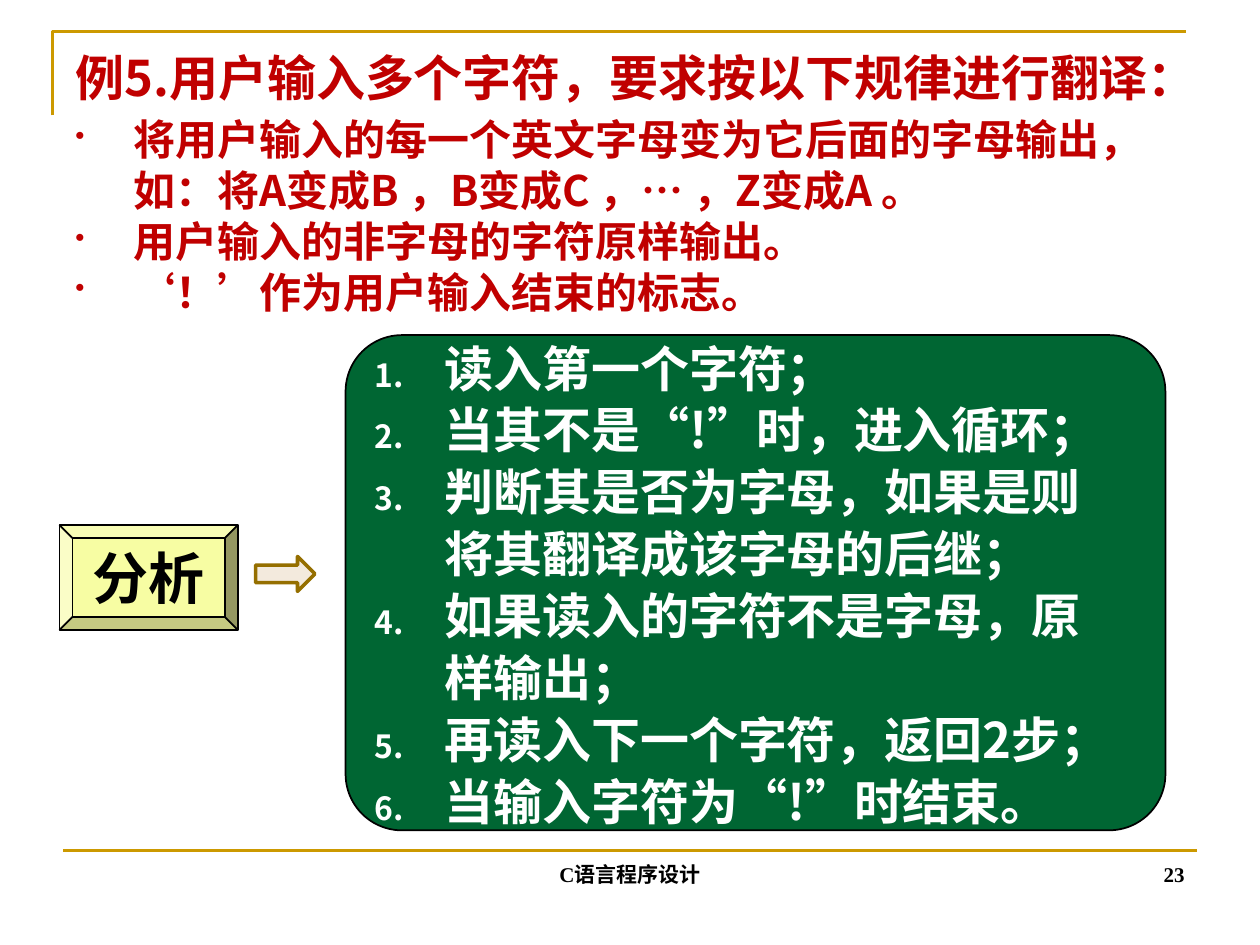
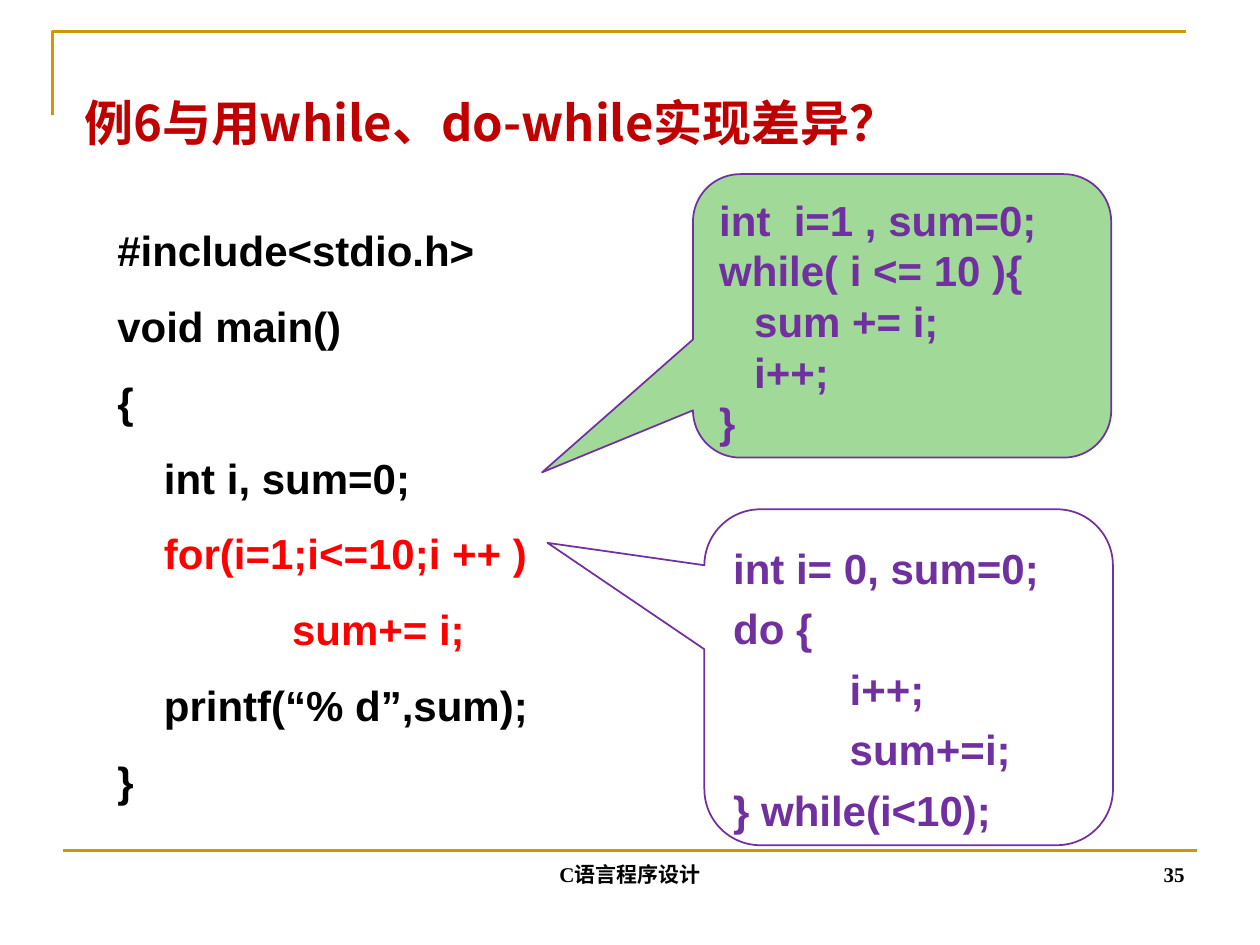
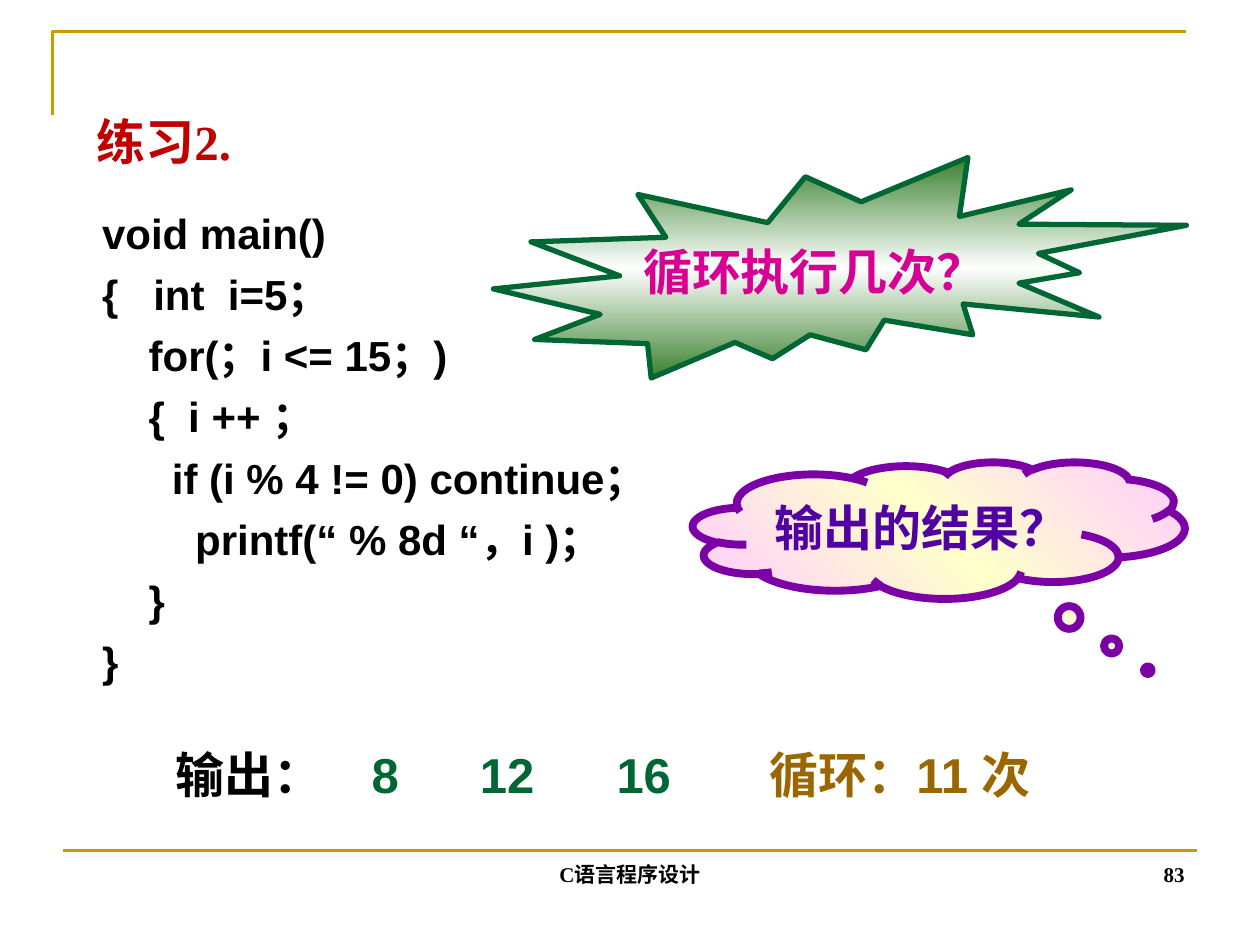
from lxml.etree import SubElement
from pptx import Presentation
from pptx.dml.color import RGBColor
from pptx.enum.shapes import MSO_CONNECTOR, MSO_SHAPE as SHAPE
from pptx.enum.text import MSO_ANCHOR as ANCHOR, MSO_AUTO_SIZE, PP_ALIGN as ALIGN
from pptx.oxml.ns import qn
from pptx.util import Pt

# Shared look
GOLD, RED, BLACK, WHITE = "CC9900", "C00000", "000000", "FFFFFF"
GREEN, PURPLE, BRIGHT_RED, BROWN = "006633", "7030A0", "FF0000", "996600"
CJK, CJK_JP, SANS, SERIF = "Noto Sans CJK SC", "Noto Sans CJK JP", "Arial", "Times New Roman"
FOOTER = "C语言程序设计"

# Content: title text, title box, title font, page number
TITLES = [
    ("例5.用户输入多个字符，要求按以下规律进行翻译：", (36, 22, 672, 44), CJK, "23"),
    ("例6与用while、do-while实现差异？", (41, 47, 595, 45), CJK, "35"),
    ("练习2.", (48, 60, 130, 41), SERIF, "83"),
]
RULES = [
    "将用户输入的每一个英文字母变为它后面的字母输出，\v如：将A变成B ，B变成C ，… ，Z变成A 。",
    "用户输入的非字母的字符原样输出。",
    "‘！’作为用户输入结束的标志。",
]
STEPS = [
    "读入第一个字符；",
    "当其不是“!”时，进入循环；",
    "判断其是否为字母，如果是则\v将其翻译成该字母的后继；",
    "如果读入的字符不是字母，原\v样输出；",
    "再读入下一个字符，返回2步；",
    "当输入字符为“!”时结束。",
]
FOR_CODE = [
    "#include<stdio.h>",
    "void main()",
    "{",
    "    int i, sum=0;",
    ("    for(i=1;i<=10;i ++ )", BRIGHT_RED),
    ("               sum+= i;", BRIGHT_RED),
    "    printf(“% d”,sum);",
    "}",
]
WHILE_CODE = ["int  i=1 , sum=0;", "while( i <= 10 ){", "   sum += i;", "   i++;", "}"]
DO_CODE = ["int i= 0, sum=0;", "do {", "          i++;", "          sum+=i;", "} while(i<10);"]
# box, adjustments, fill, line spacing, code
CALLOUTS = [
    ((396, 99.5, 239, 162), (-0.861, 0.552, 0.167), "A1DA98", 28.9, WHILE_CODE),
    ((402.5, 291, 233.5, 192), (-0.884, -0.4, 0.167), WHITE, 34.6, DO_CODE),
]
CONTINUE_CODE = [
    "void main()",
    "{   int  i=5；",
    "    for(；i <= 15；)",
    "    {  i ++ ；",
    "      if (i % 4 != 0) continue；",
    "        printf(“ % 8d “，i )；",
    "    }",
    "}",
]
# text, preset, box, adjustments, gradient ends, middle, angle, line, width, text colour
QUESTIONS = [
    ("循环执行几次？", SHAPE.EXPLOSION2, (282, 90, 396, 126), (),
     "3B812F", WHITE, 90, GREEN, 3, "D60093"),
    ("输出的结果？", SHAPE.CLOUD_CALLOUT, (396, 264, 281, 78), (0.425, 1.026),
     "FFCCFF", "FFFFCC", 45, "7B00A6", 4.5, "5100A2"),
]
OUTPUT_LABEL, OUTPUT_VALUES = "输出：", ["8", "12", "16"]
OUTPUT_TABS = [112, 174, 252]
LOOP_COUNT = "循环：11 次"


def rgb(value):
    return RGBColor.from_string(value)


def points(box):
    return [Pt(value) for value in box]


def style_run(run, size, color, font):
    run.font.size, run.font.bold, run.font.name = Pt(size), True, font
    run.font.color.rgb = rgb(color)
    east_asian = SubElement(run._r.get_or_add_rPr(), qn("a:ea"))
    east_asian.set("typeface", font if "CJK" in font else CJK)


def add_bullet(paragraph, kind, color, indent):
    """Hang a bullet character or an automatic number in front of a paragraph."""
    properties = paragraph._p.get_or_add_pPr()
    properties.set("marL", str(Pt(indent)))
    properties.set("indent", str(-Pt(indent)))
    SubElement(SubElement(properties, qn("a:buClr")), qn("a:srgbClr")).set("val", color)
    SubElement(properties, qn("a:buSzPct")).set("val", "65000")
    if kind == "number":
        SubElement(properties, qn("a:buAutoNum")).set("type", "arabicPeriod")
    else:
        SubElement(properties, qn("a:buChar")).set("char", kind)


def add_tabs(paragraph, stops):
    tab_list = SubElement(paragraph._p.get_or_add_pPr(), qn("a:tabLst"))
    for stop in stops:
        tab = SubElement(tab_list, qn("a:tab"))
        tab.set("pos", str(Pt(stop)))
        tab.set("algn", "l")


def write(shape, lines, size, color, font, align=ALIGN.LEFT, anchor=ANCHOR.TOP, spacing=None,
          before=0, bullet=None, indent=0, wrap=True, side=7.2):
    """Fill a shape with lines; a line is a text or a (text, colour) pair."""
    frame = shape.text_frame
    frame.word_wrap, frame.auto_size = wrap, MSO_AUTO_SIZE.NONE
    frame.vertical_anchor = anchor
    frame.margin_left = frame.margin_right = Pt(side)
    frame.margin_top = frame.margin_bottom = Pt(3.6)
    for index, line in enumerate(lines):
        text, line_color = (line, color) if isinstance(line, str) else line
        paragraph = frame.add_paragraph() if index else frame.paragraphs[0]
        if bullet:
            add_bullet(paragraph, bullet, color, indent)
        paragraph.text, paragraph.alignment = text, align
        if spacing:
            paragraph.line_spacing = Pt(spacing)
        paragraph.space_before = Pt(before if index else 0)
        for run in paragraph.runs:
            style_run(run, size, line_color, font)


def add_text(slide, box, lines, *style, **options):
    shape = slide.shapes.add_textbox(*points(box))
    write(shape, lines, *style, **options)
    return shape


def add_preset(slide, preset, box, line, width, fill=None, adjustments=()):
    shape = slide.shapes.add_shape(preset, *points(box))
    shape.shadow.inherit = False
    for index, value in enumerate(adjustments):
        shape.adjustments[index] = value
    if fill:
        shape.fill.solid()
        shape.fill.fore_color.rgb = rgb(fill)
    shape.line.color.rgb, shape.line.width = rgb(line), Pt(width)
    return shape


def fill_gradient(shape, colors, angle):
    shape.fill.gradient()
    shape.fill.gradient_angle = angle
    stops = shape._element.spPr.find(qn("a:gradFill")).find(qn("a:gsLst"))
    for stop in list(stops):
        stops.remove(stop)
    for index, color in enumerate(colors):
        stop = SubElement(stops, qn("a:gs"))
        stop.set("pos", str(100000 * index // (len(colors) - 1)))
        SubElement(stop, qn("a:srgbClr")).set("val", color)


def add_base_slide(presentation, title, title_box, font, page):
    """Title, corner frame, footer rule, footer and page number."""
    slide = presentation.slides.add_slide(presentation.slide_layouts[5])
    heading = slide.shapes.title
    heading.left, heading.top, heading.width, heading.height = points(title_box)
    write(heading, [title], 28, RED, font, anchor=ANCHOR.MIDDLE)

    builder = slide.shapes.build_freeform(Pt(30), Pt(66))
    builder.add_line_segments([(Pt(30), Pt(18)), (Pt(678), Pt(18))], close=False)
    corner = builder.convert_to_shape()
    corner.shadow.inherit = False
    corner.fill.background()
    rule = slide.shapes.add_connector(MSO_CONNECTOR.STRAIGHT, *points((36, 486, 684, 486)))
    SubElement(rule._element.spPr, qn("a:effectLst"))
    for outline in (corner.line, rule.line):
        outline.color.rgb, outline.width = rgb(GOLD), Pt(1.5)

    for box, text, align in (((246, 474, 228, 36), FOOTER, ALIGN.CENTER),
                             ((516, 474, 168, 36), page, ALIGN.RIGHT)):
        add_text(slide, box, [text], 12, BLACK, SERIF, align=align, anchor=ANCHOR.BOTTOM)
    return slide


def build_translation(slide):
    add_text(slide, (36, 61, 672, 123), RULES, 24, RED, CJK,
             spacing=29.1, bullet="•", indent=33)
    label = add_preset(slide, SHAPE.BEVEL, (34, 300, 102, 60), BLACK, 1, "F7FDA3", (0.125,))
    write(label, ["分析"], 32, BLACK, CJK_JP, align=ALIGN.CENTER, anchor=ANCHOR.MIDDLE, wrap=False)
    panel = add_preset(slide, SHAPE.ROUNDED_RECTANGLE, (197.5, 191.5, 468.5, 283),
                       BLACK, 1, GREEN, (0.114,))
    write(panel, STEPS, 28, WHITE, CJK_JP, anchor=ANCHOR.MIDDLE,
          spacing=35.4, bullet="number", indent=40)
    add_preset(slide, SHAPE.RIGHT_ARROW, (146, 318, 34, 20), "956F00", 2, "F3EADD")


def build_comparison(slide):
    for box, adjustments, fill, spacing, code in CALLOUTS:
        callout = add_preset(slide, SHAPE.ROUNDED_RECTANGULAR_CALLOUT, box,
                             PURPLE, 1, fill, adjustments)
        write(callout, code, 24, PURPLE, SANS, spacing=spacing)
    add_text(slide, (60, 116, 324, 354), FOR_CODE, 24, BLACK, SANS, spacing=37.4, before=6)


def build_exercise(slide):
    add_text(slide, (54, 115, 378, 280), CONTINUE_CODE, 24, BLACK, SANS,
             spacing=28.9, before=6, side=4.3)
    for text, preset, box, adjustments, edge, middle, angle, line, width, color in QUESTIONS:
        shape = add_preset(slide, preset, box, line, width, adjustments=adjustments)
        fill_gradient(shape, (edge, middle, edge), angle)
        write(shape, [text], 28, color, SANS, align=ALIGN.CENTER, anchor=ANCHOR.MIDDLE, wrap=False)

    # Answer line: label and values on tab stops
    answer = {"anchor": ANCHOR.MIDDLE, "side": 4.3}
    output = add_text(slide, (96, 420, 330, 45), [OUTPUT_LABEL], 28, BLACK, SANS, **answer)
    paragraph = output.text_frame.paragraphs[0]
    add_tabs(paragraph, OUTPUT_TABS)
    for value in OUTPUT_VALUES:
        run = paragraph.add_run()
        run.text = "\t" + value
        style_run(run, 28, GREEN, SANS)
    add_text(slide, (435.5, 420, 212, 45), [LOOP_COUNT], 28, BROWN, SANS, **answer)


def main():
    presentation = Presentation()
    presentation.slide_width, presentation.slide_height = Pt(720), Pt(540)
    for heading, build in zip(TITLES, (build_translation, build_comparison, build_exercise)):
        build(add_base_slide(presentation, *heading))
    presentation.save("out.pptx")


if __name__ == "__main__":
    main()
